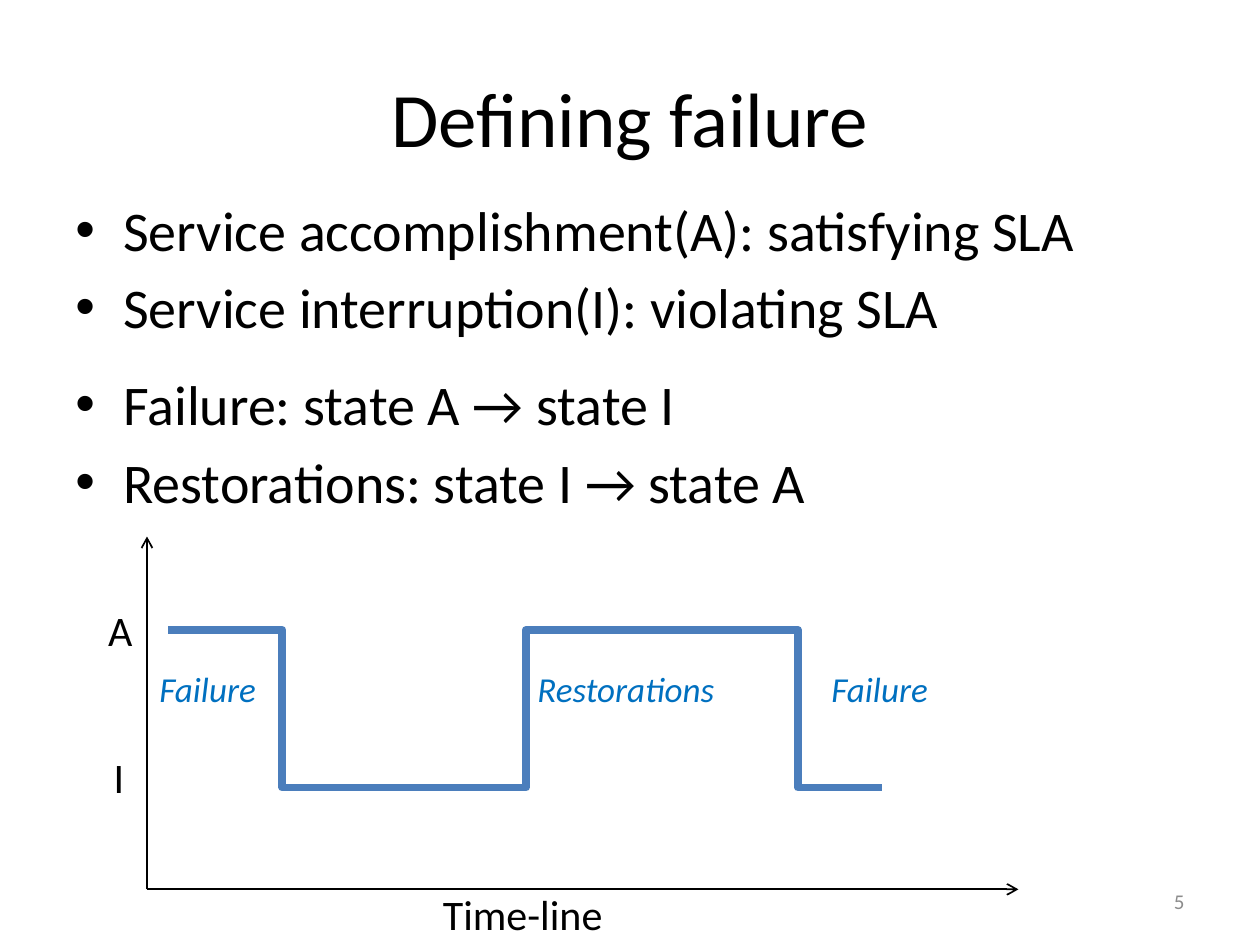
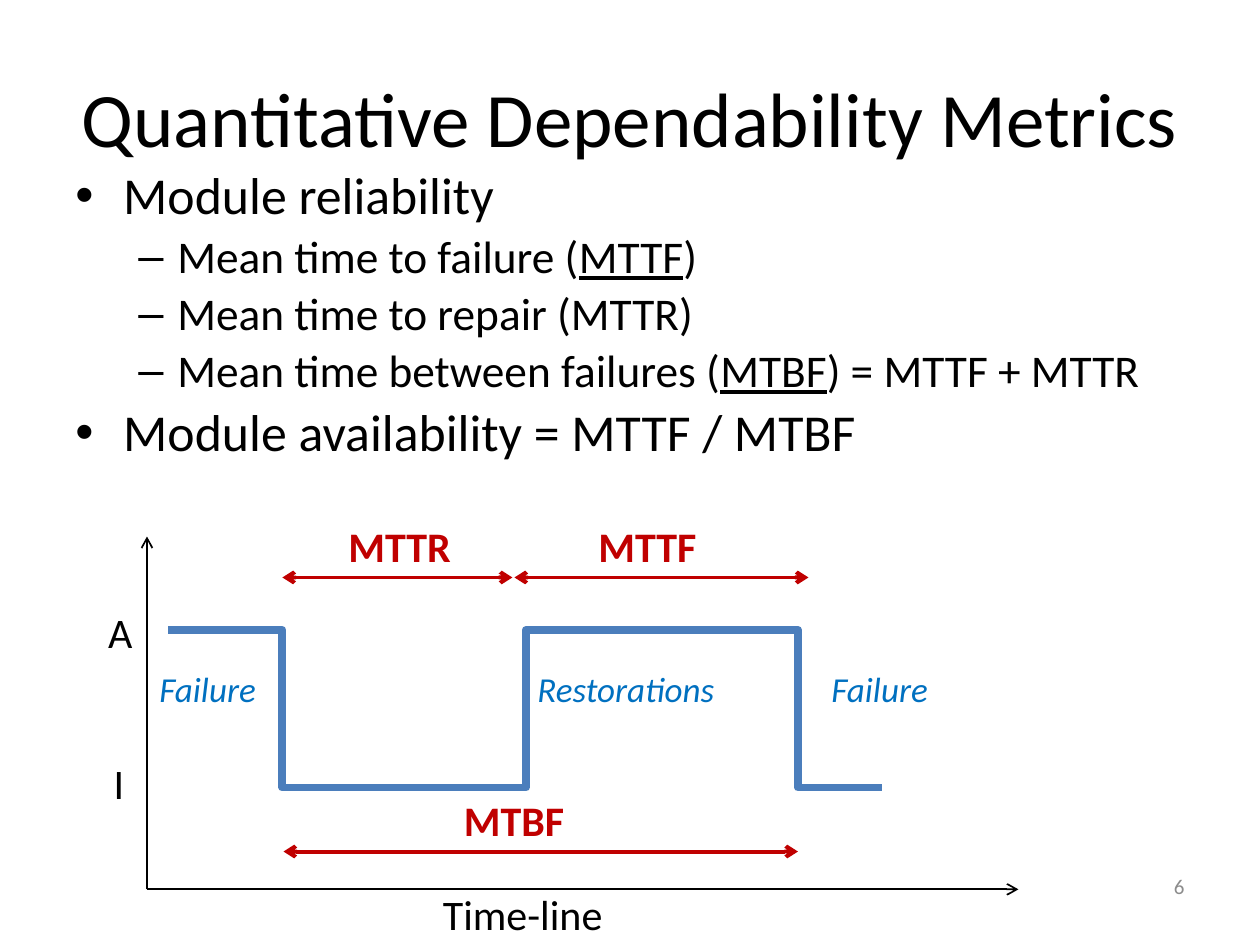
from lxml.etree import SubElement
from pptx import Presentation
from pptx.dml.color import RGBColor
from pptx.enum.shapes import MSO_CONNECTOR
from pptx.enum.text import MSO_ANCHOR, PP_ALIGN
from pptx.oxml.ns import qn
from pptx.util import Inches, Pt

# Shared style
FONT = "Calibri"
BLACK, GREY, RED = "000000", "8C8C8C", "C00000"
EVENT_BLUE, TRACE_BLUE = "0070C0", "4B7EBC"
BULLETS = [("•", 0.38, -0.38), ("–", 0.81, -0.31)]  # sign, margin, indent

# Grid: 120 columns by 90 rows on a 10 by 7.5 inch slide
CELL = Inches(10) // 120

# Rows and columns of the timeline
ROW_A, ROW_I = 60, 75
ORIGIN_COLUMN, ORIGIN_ROW = 14, 84.7
FAILURE, RESTORATION, NEXT_FAILURE = 26.9, 50.1, 76


def grid(*cells):
    return [round(cell * CELL) for cell in cells]


def color(value):
    return RGBColor.from_string(value)


def add_runs(paragraph, text, size, ink=BLACK, bold=False, italic=False):
    """Fill a paragraph; words between underscores are underlined."""
    for index, part in enumerate(text.split("_")):
        run = paragraph.add_run()
        run.text = part
        font = run.font
        font.name, font.size = FONT, Pt(size)
        font.bold, font.italic = bold, italic
        font.underline = index % 2 == 1
        font.color.rgb = color(ink)


def add_frame(slide, box, anchor=MSO_ANCHOR.TOP):
    frame = slide.shapes.add_textbox(*grid(*box)).text_frame
    frame.word_wrap = True
    frame.vertical_anchor = anchor
    return frame


def add_text(slide, text, box, size, align=PP_ALIGN.LEFT,
             anchor=MSO_ANCHOR.TOP, **style):
    paragraph = add_frame(slide, box, anchor).paragraphs[0]
    paragraph.alignment = align
    add_runs(paragraph, text, size, **style)


def add_bullets(slide, items, box, sizes, line_spacing=1.0):
    """Each item is a level, a text and the extra points above it."""
    frame = add_frame(slide, box)
    for index, (level, text, extra) in enumerate(items):
        paragraph = frame.add_paragraph() if index else frame.paragraphs[0]
        sign, margin, indent = BULLETS[level]
        paragraph.level = level
        paragraph.line_spacing = line_spacing
        paragraph.space_before = Pt(0.18 * sizes[level] + extra)
        properties = paragraph._p.get_or_add_pPr()
        properties.set("marL", str(Inches(margin)))
        properties.set("indent", str(Inches(indent)))
        SubElement(properties, qn("a:buFont"), typeface="Arial")
        SubElement(properties, qn("a:buChar"), char=sign)
        add_runs(paragraph, text, sizes[level])


def add_line(slide, start, end, ink, width, arrows=(),
             kind=MSO_CONNECTOR.STRAIGHT):
    connector = slide.shapes.add_connector(kind, *grid(*start, *end))
    connector.line.color.rgb = color(ink)
    connector.line.width = Pt(width)
    line = connector.line._get_or_add_ln()
    for arrow in arrows:
        SubElement(line, qn(f"a:{arrow}"), type="arrow")
    SubElement(connector._element.spPr, qn("a:effectLst"))
    return connector


def add_step(slide, start, edge, end):
    """Draw a bent line whose upright part stands at the column edge."""
    connector = add_line(slide, start, end, TRACE_BLUE, 4.5,
                         kind=MSO_CONNECTOR.ELBOW)
    share = (edge - start[0]) / (end[0] - start[0])
    geometry = connector._element.spPr.find(qn("a:prstGeom"))
    guides = geometry.find(qn("a:avLst"))
    if guides is None:
        guides = SubElement(geometry, qn("a:avLst"))
    SubElement(guides, qn("a:gd"), name="adj1",
               fmla=f"val {round(share * 100000)}")


def add_span(slide, name, first, last, row, name_column):
    """Draw a measured span with its name above it."""
    add_line(slide, (first, row), (last, row), RED, 2.25,
             ("headEnd", "tailEnd"))
    add_text(slide, name, (name_column, row - 6, 14, 6), 24,
             ink=RED, bold=True)


def add_timeline(slide, row_a_label, row_i_label):
    # Axes
    origin = (ORIGIN_COLUMN, ORIGIN_ROW)
    for end in ((97, ORIGIN_ROW), (ORIGIN_COLUMN, 51.1)):
        add_line(slide, origin, end, BLACK, 1, ("tailEnd",))
    add_text(slide, "Time-line", (41, 84, 18, 6), 24)
    for state, right, row in (("A", 13.8, row_a_label),
                              ("I", 13, row_i_label)):
        add_text(slide, state, (right - 12, row, 12, 6), 24, PP_ALIGN.RIGHT)

    # State over time
    add_step(slide, (16, ROW_A), FAILURE, (32, ROW_I))
    add_step(slide, (32, ROW_I), RESTORATION, (76, ROW_A))
    add_step(slide, (68, ROW_A), NEXT_FAILURE, (84, ROW_I))
    for event, column, width in (("Failure", 14, 13),
                                 ("Restorations", 50, 28),
                                 ("Failure", 78, 13)):
        add_text(slide, event, (column, 63, width, 5.25), 20,
                 ink=EVENT_BLUE, italic=True)


def add_slide(presentation, title, number, number_row):
    slide = presentation.slides.add_slide(presentation.slide_layouts[6])
    add_text(slide, title, (6, 3.6, 108, 15), 44, PP_ALIGN.CENTER,
             MSO_ANCHOR.MIDDLE)
    add_text(slide, number, (86, number_row, 28, 4.8), 12, PP_ALIGN.RIGHT,
             MSO_ANCHOR.MIDDLE, ink=GREY)
    return slide


def build_failure_slide(presentation):
    slide = add_slide(presentation, "Defining failure", "5", 83.4)
    add_bullets(slide, [
        (0, "Service accomplishment(A): satisfying SLA", 0),
        (0, "Service interruption(I): violating SLA", 0),
        (0, "Failure: state A → state I", 11.4),
        (0, "Restorations: state I → state A", 0),
    ], (6, 18, 108, 59.4), (32,))
    add_timeline(slide, 57, 71)


def build_metrics_slide(presentation):
    slide = add_slide(presentation, "Quantitative Dependability Metrics",
                      "6", 82)
    add_bullets(slide, [
        (0, "Module reliability", 0),
        (1, "Mean time to failure (_MTTF_)", 0),
        (1, "Mean time to repair (MTTR)", 0),
        (1, "Mean time between failures (_MTBF_) = MTTF + MTTR", 0),
        (0, "Module availability = MTTF / MTBF", 0),
    ], (6, 15.6, 108, 33.4), (29.6, 25.9), line_spacing=0.9)
    add_timeline(slide, 57.2, 71.6)
    add_span(slide, "MTTR", FAILURE, 48.8, 55, 32)
    add_span(slide, "MTTF", 49, 77, 55, 55.8)
    add_span(slide, "MTBF", 27, NEXT_FAILURE, 81.1, 43)


def main():
    presentation = Presentation()
    presentation.slide_width, presentation.slide_height = grid(120, 90)
    build_failure_slide(presentation)
    build_metrics_slide(presentation)
    presentation.save("out.pptx")


if __name__ == "__main__":
    main()
